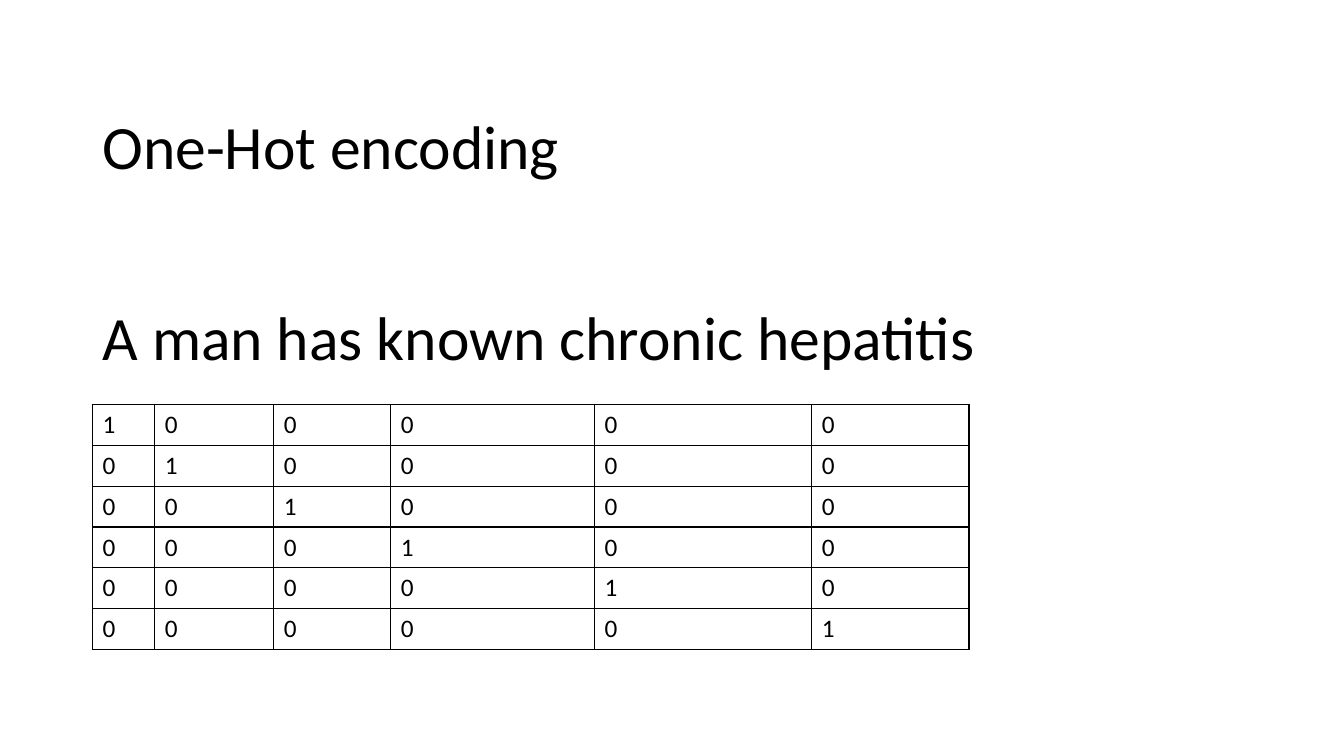
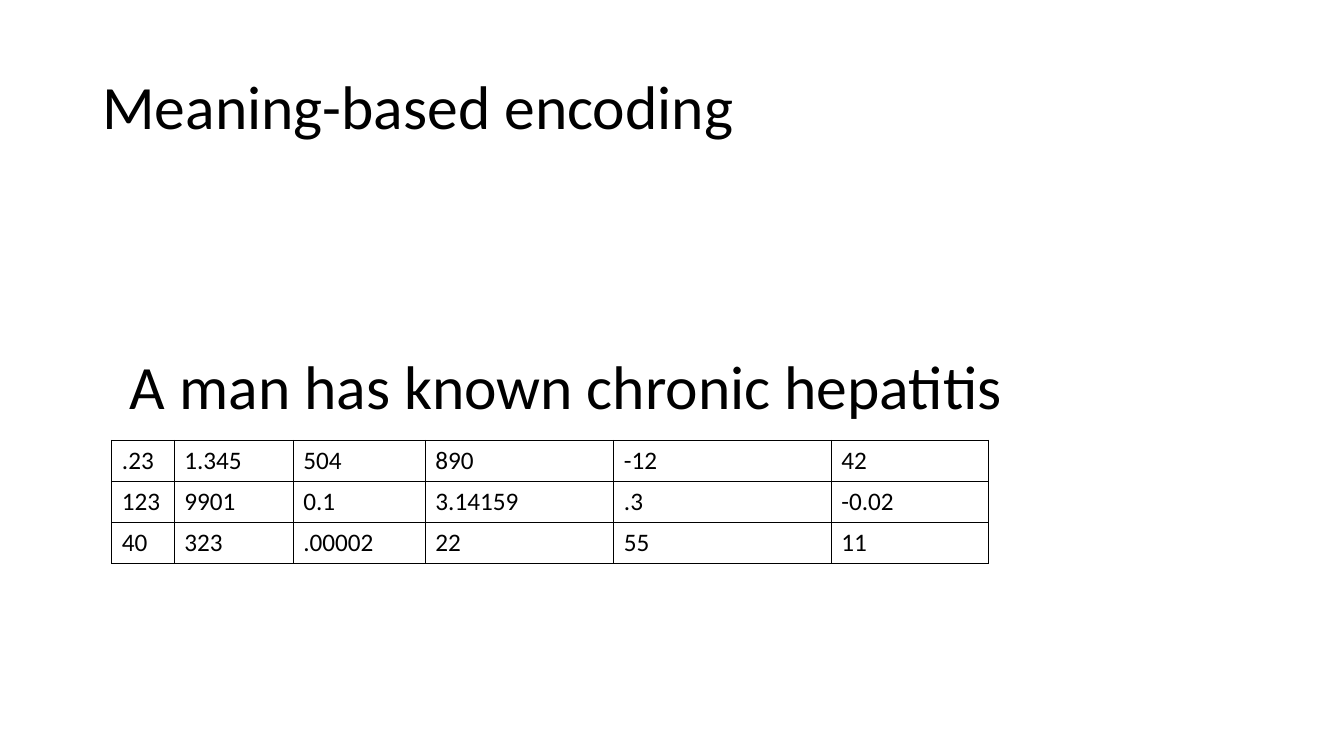
"""Build two slides that contrast one-hot and meaning-based word encoding."""
from lxml import etree
from pptx import Presentation
from pptx.dml.color import RGBColor
from pptx.enum.text import MSO_ANCHOR, MSO_AUTO_SIZE, PP_ALIGN
from pptx.oxml.ns import qn
from pptx.util import Cm, Pt

TOP, MIDDLE = MSO_ANCHOR.TOP, MSO_ANCHOR.MIDDLE
NO_FIT = MSO_AUTO_SIZE.NONE
LEFT = PP_ALIGN.LEFT

BLACK = RGBColor(0x00, 0x00, 0x00)
FONT = "Calibri"
TITLE_ONLY = 5
HEADING_SIZE, CELL_SIZE = Pt(44), Pt(18)
HEADING_W, HEADING_H = Cm(29.21), Cm(3.68)
HEADING_LEFT = 2.33
ROW_H = Cm(1.03)
BORDER = Pt(1)

SENTENCE = "A man has known chronic hepatitis"
WORDS = len(SENTENCE.split())
ONE_HOT = [[str(int(r == c)) for c in range(WORDS)] for r in range(WORDS)]
MEANING = [
    [".23", "1.345", "504", "890", "-12", "42"],
    ["123", "9901", "0.1", "3.14159", ".3", "-0.02"],
    ["40", "323", ".00002", "22", "55", "11"],
]


def set_all(obj, **values):
    for name, value in values.items():
        setattr(obj, name, value)


def write(tf, text, size, **para_format):
    p = tf.paragraphs[0]
    set_all(p, alignment=LEFT, **para_format)
    r = p.add_run()
    r.text = text
    set_all(r.font, name=FONT, size=size)
    r.font.color.rgb = BLACK


def format_heading(sp, text, left, top, **frame_format):
    set_all(sp, left=Cm(left), top=Cm(top), width=HEADING_W, height=HEADING_H)
    set_all(sp.text_frame, word_wrap=True, auto_size=NO_FIT, **frame_format)
    write(sp.text_frame, text, HEADING_SIZE, line_spacing=0.9)


def add_borders(cell):
    tc_pr = cell._tc.get_or_add_tcPr()
    for i, side in enumerate(("a:lnL", "a:lnR", "a:lnT", "a:lnB")):
        ln = etree.Element(qn(side), w=str(BORDER))
        fill = etree.SubElement(ln, qn("a:solidFill"))
        etree.SubElement(fill, qn("a:srgbClr"), val=str(BLACK))
        tc_pr.insert(i, ln)


def add_grid(s, rows, widths, left, top):
    frame = s.shapes.add_table(len(rows), len(widths), Cm(left), Cm(top),
                               Cm(sum(widths)), ROW_H * len(rows))
    table = frame.table
    set_all(table, first_row=False, horz_banding=False)
    for column, width in zip(table.columns, widths):
        column.width = Cm(width)
    for r, values in enumerate(rows):
        for c, value in enumerate(values):
            cell = table.cell(r, c)
            cell.fill.background()
            add_borders(cell)
            write(cell.text_frame, value, CELL_SIZE)


def add_encoding_slide(prs, heading, heading_top, sentence_at, rows, widths, grid_at):
    s = prs.slides.add_slide(prs.slide_layouts[TITLE_ONLY])
    format_heading(s.shapes.title, SENTENCE, *sentence_at,
                   vertical_anchor=TOP, margin_top=Cm(0.05))
    add_grid(s, rows, widths, *grid_at)
    sp = s.shapes.add_textbox(0, 0, HEADING_W, HEADING_H)
    format_heading(sp, heading, HEADING_LEFT, heading_top, vertical_anchor=MIDDLE)


def main():
    prs = Presentation()
    set_all(prs, slide_width=Cm(33.87), slide_height=Cm(19.05))
    add_encoding_slide(prs, "One-Hot encoding", 1.93, (HEADING_LEFT, 7.7),
                       ONE_HOT, (1.57, 3, 2.95, 5.13, 5.48, 3.96),
                       (HEADING_LEFT, 10.19))
    add_encoding_slide(prs, "Meaning-based encoding", 0.91, (3.02, 8.94),
                       MEANING, (1.57, 3, 3.33, 4.75, 5.48, 3.96),
                       (2.82, 11.1))
    prs.save("out.pptx")


if __name__ == "__main__":
    main()
